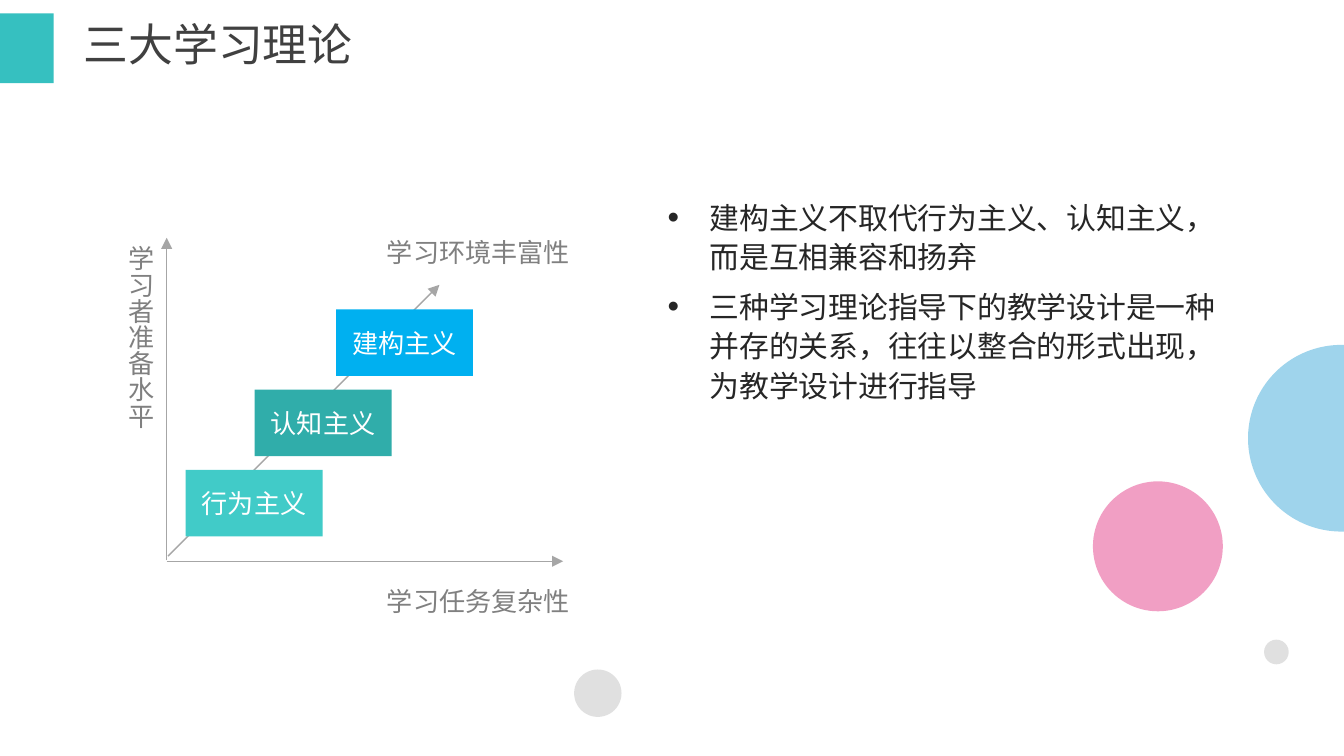
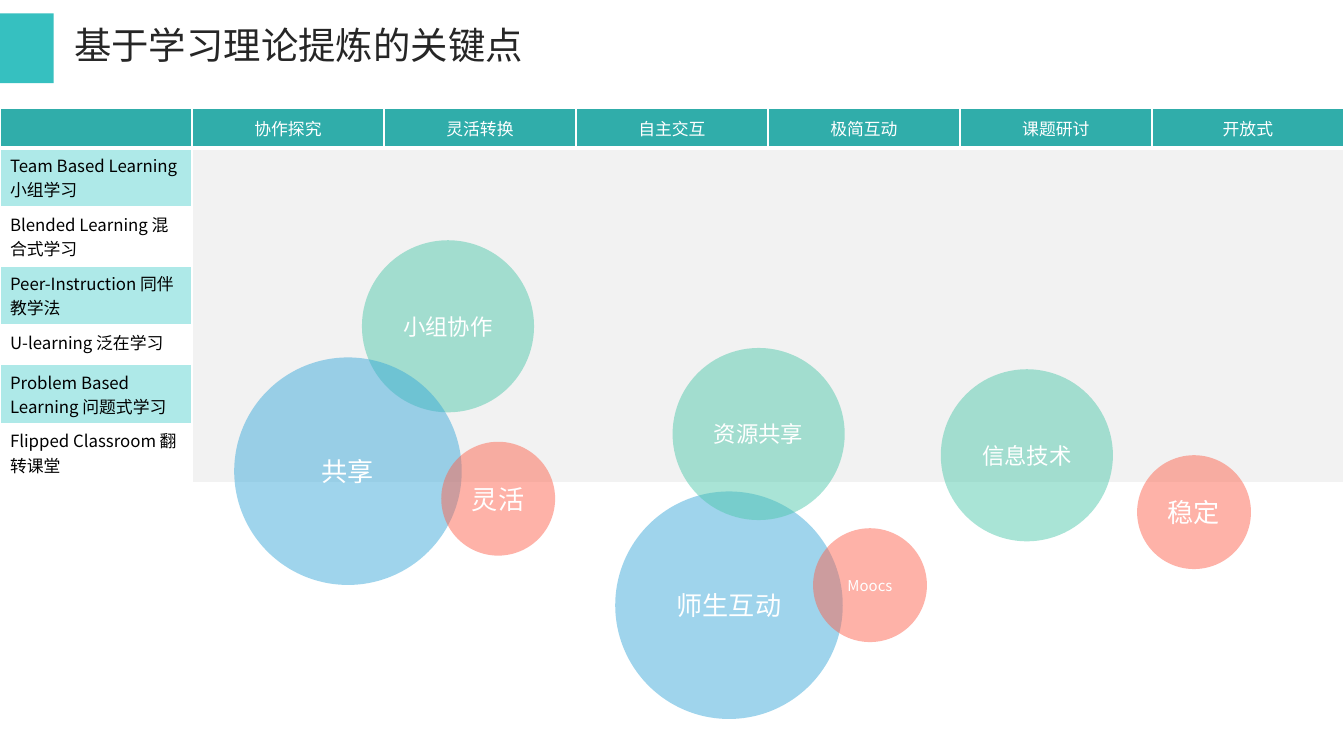
from dataclasses import dataclass

from lxml import etree
from pptx import Presentation
from pptx import util as u
from pptx.dml import color
from pptx.enum import shapes, text
from pptx.oxml import ns

Pt = u.Pt
LEFT, MID = text.PP_ALIGN.LEFT, text.PP_ALIGN.CENTER
TOP, CENTRE = text.MSO_ANCHOR.TOP, text.MSO_ANCHOR.MIDDLE
RECT, OVAL = shapes.MSO_SHAPE.RECTANGLE, shapes.MSO_SHAPE.OVAL


@dataclass(frozen=True)
class Theme:
    # Colours
    white: str = "FFFFFF"
    black: str = "000000"
    ink: str = "262626"
    dark: str = "404040"
    grey: str = "808080"
    line: str = "A6A6A6"
    dot: str = "BFBFBF"
    panel: str = "F2F2F2"
    band: str = "36C0C0"
    aqua: str = "41CBC8"
    teal: str = "30ADAA"
    sky: str = "00B0F0"
    pale: str = "AEE9E8"
    blue: str = "37A7D9"
    pink: str = "E33884"
    green: str = "4CC7AA"
    coral: str = "FE604A"
    # Type
    face: str = "Noto Sans CJK SC"
    head: int = 24
    title: int = 20
    body: int = 16
    label: int = 14
    small: int = 12
    cell: int = 9
    tiny: int = 8
    # Opacity of the circles, in percent
    veil: int = 48


def rgb(tone):
    return color.RGBColor.from_string(tone)


def node(root, tag, **attrs):
    return etree.SubElement(root, ns.qn(tag), **attrs)


class Deck:
    def __init__(self, theme):
        self.theme = theme
        self.file = Presentation()
        self.file.slide_width, self.file.slide_height = Pt(720), Pt(405)
        self.slide = None

    # Text
    def run(self, para, words, size, tone):
        piece = para.add_run()
        piece.text = words
        piece.font.size = Pt(size)
        piece.font.color.rgb = rgb(tone)
        piece.font.name = self.theme.face
        node(piece.font._element, "a:ea", typeface=self.theme.face)

    def inset(self, frame, side, edge):
        frame.margin_left = frame.margin_right = Pt(side)
        frame.margin_top = frame.margin_bottom = Pt(edge)

    # Slide with band and title
    def page(self, words, box, size, tone, anchor=CENTRE, pads=(6.6, 3.2)):
        self.slide = self.file.slides.add_slide(self.file.slide_layouts[5])
        self.shape(RECT, (0, 7.2, 28.8, 37.4), self.theme.band)
        title = self.slide.shapes.title
        title.left, title.top, title.width, title.height = map(Pt, box)
        frame = title.text_frame
        frame.auto_size = text.MSO_AUTO_SIZE.NONE
        frame.word_wrap = True
        frame.vertical_anchor = anchor
        self.inset(frame, *pads)
        para = frame.paragraphs[0]
        para.alignment = LEFT
        para.line_spacing = 0.9
        self.run(para, words, size, tone)

    # Filled shape, with centred words if any
    def shape(self, kind, box, tone, words="", size=0, veil=None):
        item = self.slide.shapes.add_shape(kind, *map(Pt, box))
        item.shadow.inherit = False
        item.fill.solid()
        item.fill.fore_color.rgb = rgb(tone)
        item.line.fill.background()
        if veil:
            hue = item._element.spPr.find(".//" + ns.qn("a:srgbClr"))
            node(hue, "a:alpha", val=str(veil * 1000))
        if words:
            frame = item.text_frame
            frame.word_wrap = True
            frame.vertical_anchor = CENTRE
            self.inset(frame, 0, 0)
            frame.paragraphs[0].alignment = MID
            self.run(frame.paragraphs[0], words, size, self.theme.white)

    def disc(self, left, top, size, tone, words="", type_size=0):
        self.shape(OVAL, (left, top, size, size), tone, words, type_size,
                   self.theme.veil)

    def arrow(self, start, end):
        item = self.slide.shapes.add_connector(
            shapes.MSO_CONNECTOR.STRAIGHT, *map(Pt, start + end))
        item.line.color.rgb = rgb(self.theme.line)
        item.line.width = Pt(0.75)
        node(item.line._get_or_add_ln(), "a:tailEnd", type="triangle")
        node(item._element.spPr, "a:effectLst")

    def frame(self, box, wrap):
        frame = self.slide.shapes.add_textbox(*map(Pt, box)).text_frame
        frame.word_wrap = wrap
        frame.auto_size = text.MSO_AUTO_SIZE.SHAPE_TO_FIT_TEXT
        return frame

    def label(self, box, words, upright=False):
        frame = self.frame(box, False)
        if upright:
            frame._txBody.bodyPr.set("vert", "eaVert")
        self.run(frame.paragraphs[0], words, self.theme.label, self.theme.grey)

    def points(self, box, lines):
        frame = self.frame(box, True)
        for i, words in enumerate(lines):
            para = frame.add_paragraph() if i else frame.paragraphs[0]
            para.line_spacing = 1.1
            para.space_before = Pt(5.6 if i else 0)
            props = para._p.get_or_add_pPr()
            props.set("marL", str(Pt(22.5)))
            props.set("indent", str(-Pt(22.5)))
            node(props, "a:buSzPct", val="110000")
            node(props, "a:buFont", typeface="Arial")
            node(props, "a:buChar", char="•")
            self.run(para, words, self.theme.body, self.theme.ink)

    # Table
    def cell(self, cell, words, fill, tone, align, anchor, base):
        cell.fill.solid()
        cell.fill.fore_color.rgb = rgb(fill)
        cell.vertical_anchor = anchor
        self.inset(cell, 5.4, 2.7)
        para = cell.text_frame.paragraphs[0]
        para.alignment = align
        if words:
            self.run(para, words, self.theme.cell, tone)
        else:
            node(para._p, "a:endParaRPr", sz=str(self.theme.cell * 100))
        props = cell._tc.get_or_add_tcPr()
        for i, side in enumerate("LRTB"):
            width = base if side == "B" else 1
            edge = etree.Element(ns.qn("a:ln" + side), w=str(Pt(width)))
            node(node(edge, "a:solidFill"), "a:srgbClr", val=self.theme.white)
            props.insert(i, edge)

    def grid(self, box, heads, rows, heights):
        th = self.theme
        table = self.slide.shapes.add_table(
            len(rows) + 1, len(heads), *map(Pt, box)).table
        table.first_row = table.horz_banding = False
        for col in table.columns:
            col.width = Pt(box[2] / len(heads))
        for row, height in zip(table.rows, heights):
            row.height = Pt(height)
        for c, words in enumerate(heads):
            self.cell(table.cell(0, c), words, th.teal, th.white, MID, CENTRE, 3)
        for r, words in enumerate(rows, 1):
            fill = th.pale if r % 2 else th.white
            self.cell(table.cell(r, 0), words, fill, th.black, LEFT, TOP, 1)
            for c in range(1, len(heads)):
                self.cell(table.cell(r, c), "", th.panel, th.black, LEFT, TOP, 1)
        table.cell(1, 1).merge(table.cell(len(rows), len(heads) - 1))


def theories(deck):
    th = deck.theme
    deck.page("三大学习理论", (39.6, 10, 607, 35.3), th.head, th.dark,
              TOP, (5.2, 2.2))

    # Axes and diagonal
    deck.arrow((89.3, 300.7), (301.7, 300.7))
    deck.arrow((89.3, 300.2), (89.3, 127.4))
    deck.arrow((90, 298), (235.4, 152.6))

    # Rising steps
    steps = [("行为主义", 99.5, th.aqua), ("认知主义", 136.4, th.teal),
             ("建构主义", 180, th.sky)]
    for i, (words, left, tone) in enumerate(steps):
        deck.shape(RECT, (left, 251.8 - 43 * i, 73.4, 35.6), tone, words, th.label)

    # Axis names
    deck.label((55.4, 124.6, 31.7, 106.6), "学习者准备水平", True)
    for top, words in ((310.3, "学习任务复杂性"), (123.1, "学习环境丰富性")):
        deck.label((200.2, top, 113.8, 24.5), words)

    deck.points((350.6, 101.5, 321.1, 120.2), [
        "建构主义不取代行为主义、认知主义，而是互相兼容和扬弃",
        "三种学习理论指导下的教学设计是一种并存的关系，往往以整合的形式出现，为教学设计进行指导",
    ])

    # Loose circles
    for spot in [(307.6, 358.7, 25.4, th.dot), (668.6, 184.8, 100, th.blue),
                 (585.5, 257.9, 69.6, th.pink), (677.2, 342.7, 13.2, th.dot)]:
        deck.disc(*spot)


def keys(deck):
    th = deck.theme
    deck.page("基于学习理论提炼的关键点", (33.1, 10.8, 614.9, 29.5),
              th.title, th.ink)

    heads = ["", "协作探究", "灵活转换", "自主交互", "极简互动", "课题研讨", "开放式"]
    rows = ["Team Based Learning 小组学习", "Blended Learning 混合式学习",
            "Peer-Instruction 同伴教学法", "U-learning 泛在学习",
            "Problem Based Learning 问题式学习", "Flipped Classroom 翻转课堂"]
    low, tall = 21.4, 27.2
    deck.grid((0, 57.9, 720, 178.6), heads, rows,
              [low, tall, tall, tall, low, tall, tall])

    # Bubbles: size, colour, type size
    big = (121.9, th.blue, th.label)
    mean = (92.2, th.green, th.small)
    wee = (61, th.coral, th.label)
    note = (61, th.coral, th.tiny)
    for words, left, top, (size, tone, letter) in [
            ("小组协作", 193.9, 128.7, mean), ("共享", 125.5, 191.5, big),
            ("灵活", 236.4, 236.7, wee), ("师生互动", 329.6, 263.3, big),
            ("资源共享", 360.3, 186.4, mean), ("稳定", 609.2, 243.9, wee),
            ("Moocs", 435.6, 283, note), ("信息技术", 504, 197.8, mean)]:
        deck.disc(left, top, size, tone, words, letter)


def main():
    deck = Deck(Theme())
    theories(deck)
    keys(deck)
    deck.file.save("out.pptx")


if __name__ == "__main__":
    main()
